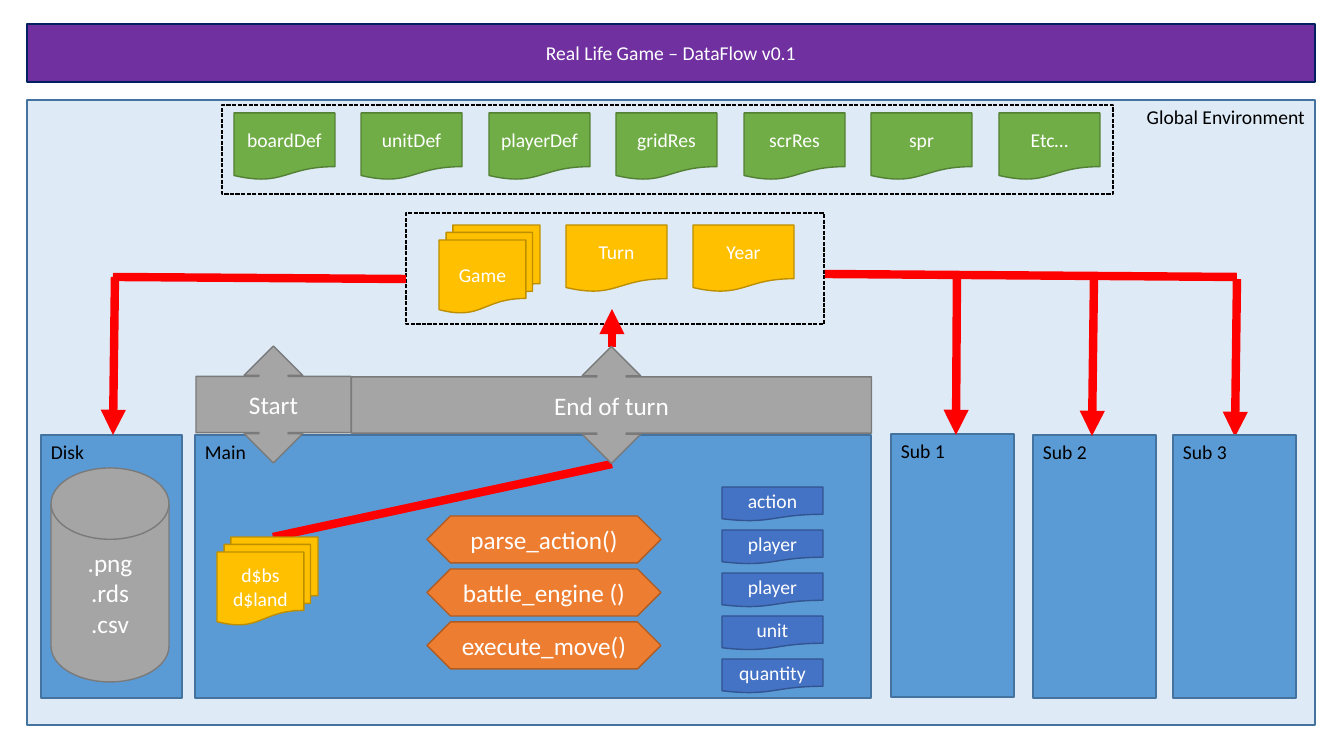
from dataclasses import dataclass
from typing import Any

from lxml.etree import SubElement
from pptx import Presentation
from pptx.dml.color import RGBColor
from pptx.enum.dml import MSO_LINE
from pptx.enum.shapes import MSO_CONNECTOR, MSO_SHAPE
from pptx.enum.text import MSO_ANCHOR, MSO_AUTO_SIZE, PP_ALIGN
from pptx.oxml.ns import qn
from pptx.util import Pt

EMU_PER_PIXEL = 914400 / 100.8
COLORS = {
    "white": "FFFFFF", "black": "000000", "flow": "FF0000",
    "title": "7030A0", "title_edge": "002060",
    "environment": "DEEBF7", "process": "5B9BD5", "process_edge": "43739E",
    "state": "FFC000", "state_edge": "BD8E00",
    "definition": "70AD47", "definition_edge": "538035",
    "function": "ED7D31", "function_edge": "AF5C24",
    "argument": "4472C4", "argument_edge": "325491",
    "storage": "A5A5A5", "storage_edge": "7A7A7A",
}


@dataclass(frozen=True)
class Node:
    text: str
    left: int
    top: int
    width: int
    height: int
    fill: str | None
    edge: str
    preset: MSO_SHAPE = MSO_SHAPE.RECTANGLE
    size: int = 14
    ink: str = "white"
    align: PP_ALIGN = PP_ALIGN.CENTER
    anchor: MSO_ANCHOR = MSO_ANCHOR.MIDDLE
    upright: bool = False
    adjustments: tuple[float, ...] = ()


@dataclass(frozen=True)
class Flow:
    begin: tuple[int, int]
    end: tuple[int, int]
    arrow: bool = False


def px(pixels: int) -> int:
    return round(pixels * EMU_PER_PIXEL)


def color(name: str) -> RGBColor:
    return RGBColor.from_string(COLORS[name])


def apply(target: Any, values: dict[str, Any]) -> None:
    for attribute, value in values.items():
        setattr(target, attribute, value)


def write_text(shape: Any, node: Node) -> None:
    frame = shape.text_frame
    frame.text = node.text
    apply(frame, {"word_wrap": True, "auto_size": MSO_AUTO_SIZE.NONE,
                  "vertical_anchor": node.anchor})
    for paragraph in frame.paragraphs:
        paragraph.alignment = node.align
        for run in paragraph.runs:
            apply(run.font, {"name": "Calibri", "size": Pt(node.size)})
            run.font.color.rgb = color(node.ink)


def format_node(shape: Any, node: Node) -> None:
    apply(shape, {"left": px(node.left), "top": px(node.top),
                  "width": px(node.width), "height": px(node.height)})
    shape.shadow.inherit = False
    shape.line.color.rgb = color(node.edge)
    shape.line.width = Pt(1)
    if node.fill:
        shape.fill.solid()
        shape.fill.fore_color.rgb = color(node.fill)
    else:
        shape.fill.background()
        shape.line.dash_style = MSO_LINE.SQUARE_DOT
    if node.text:
        write_text(shape, node)
    if node.upright:
        shape.rotation = 270
        shape.text_frame._txBody.bodyPr.set("vert", "vert")
    for index, value in enumerate(node.adjustments):
        shape.adjustments[index] = value


def draw_node(shapes: Any, node: Node) -> None:
    shape = shapes.add_shape(node.preset, px(node.left), px(node.top),
                             px(node.width), px(node.height))
    format_node(shape, node)


def draw_flow(shapes: Any, flow: Flow) -> None:
    connector = shapes.add_connector(MSO_CONNECTOR.STRAIGHT,
                                     *map(px, flow.begin + flow.end))
    connector.line.color.rgb = color("flow")
    connector.line.width = Pt(6)
    properties = connector._element.spPr
    if flow.arrow:
        SubElement(properties.find(qn("a:ln")), qn("a:tailEnd"), type="triangle")
    SubElement(properties, qn("a:effectLst"))


def area(text: str, left: int, top: int, width: int) -> Node:
    return Node(text, left, top, width, 263, "process", "process_edge",
                ink="black", align=PP_ALIGN.LEFT, anchor=MSO_ANCHOR.TOP)


def document(text: str, left: int, top: int, height: int, family: str,
             preset: MSO_SHAPE = MSO_SHAPE.FLOWCHART_DOCUMENT) -> Node:
    return Node(text, left, top, 101, height, family, f"{family}_edge", preset)


def stack(text: str, left: int, top: int) -> Node:
    return document(text, left, top, 88, "state", MSO_SHAPE.FLOWCHART_MULTIDOCUMENT)


def phase(text: str, left: int, top: int, height: int) -> Node:
    return Node(text, left, top, 117, height, "storage", "storage_edge",
                MSO_SHAPE.LEFT_RIGHT_ARROW_CALLOUT, 18, upright=True)


def group_frame(left: int, top: int, width: int, height: int) -> Node:
    return Node("", left, top, width, height, None, "black")


def column(start: int, index: int) -> int:
    return start + index * 255 // 2


DEFINITIONS = ("boardDef", "unitDef", "playerDef", "gridRes", "scrRes", "spr", "Etc…")
FUNCTIONS = ("parse_action()", "battle_engine ()", "execute_move()")
ARGUMENTS = ("action", "player", "player", "unit", "quantity")

title = Node("Real Life Game – DataFlow v0.1", 27, 24, 1288, 58, "title", "title_edge")
diagram: list[Node | Flow] = [
    Node("Global Environment", 27, 100, 1288, 625, "environment", "process_edge",
         ink="black", align=PP_ALIGN.RIGHT, anchor=MSO_ANCHOR.TOP),
    area("Main", 195, 435, 676),
    area("Sub 1", 891, 434, 123),
    area("Disk", 41, 435, 141),
    stack("Game", 439, 225),
    *(document(text, column(566, i), 225, 67, "state")
      for i, text in enumerate(("Turn", "Year"))),
    *(document(text, column(234, i), 113, 67, "definition")
      for i, text in enumerate(DEFINITIONS)),
    *(Node(text, 427, 516 + 53 * i, 234, 47, "function", "function_edge",
           MSO_SHAPE.LEFT_RIGHT_ARROW, 18, adjustments=(1, 0.5))
      for i, text in enumerate(FUNCTIONS)),
    *(document(text, 722, 487 + 43 * i, 34, "argument")
      for i, text in enumerate(ARGUMENTS)),
    Node(".png\n.rds\n.csv", 51, 468, 118, 214, "storage", "storage_edge",
         MSO_SHAPE.FLOWCHART_MAGNETIC_DISK, 18),
    group_frame(406, 213, 418, 111),
    group_frame(222, 105, 891, 89),
    phase("Start", 215, 327, 155),
    Flow((273, 537), (612, 464)),
    Flow((612, 347), (612, 309), True),
    phase("End of turn", 553, 145, 520),
    stack("d$bs\nd$land", 217, 537),
    Flow((115, 277), (113, 435), True),
    Flow((957, 277), (956, 435), True),
    Flow((1237, 279), (1235, 437), True),
    Flow((113, 277), (406, 279)),
    Flow((825, 274), (1237, 277)),
    area("Sub 3", 1173, 435, 123),
    area("Sub 2", 1033, 435, 123),
    Flow((1094, 278), (1092, 436), True),
]

deck = Presentation()
apply(deck, {"slide_width": px(1344), "slide_height": px(756)})
slide = deck.slides.add_slide(deck.slide_layouts[5])
format_node(slide.shapes.title, title)
for part in diagram:
    if isinstance(part, Flow):
        draw_flow(slide.shapes, part)
    else:
        draw_node(slide.shapes, part)
deck.save("out.pptx")
